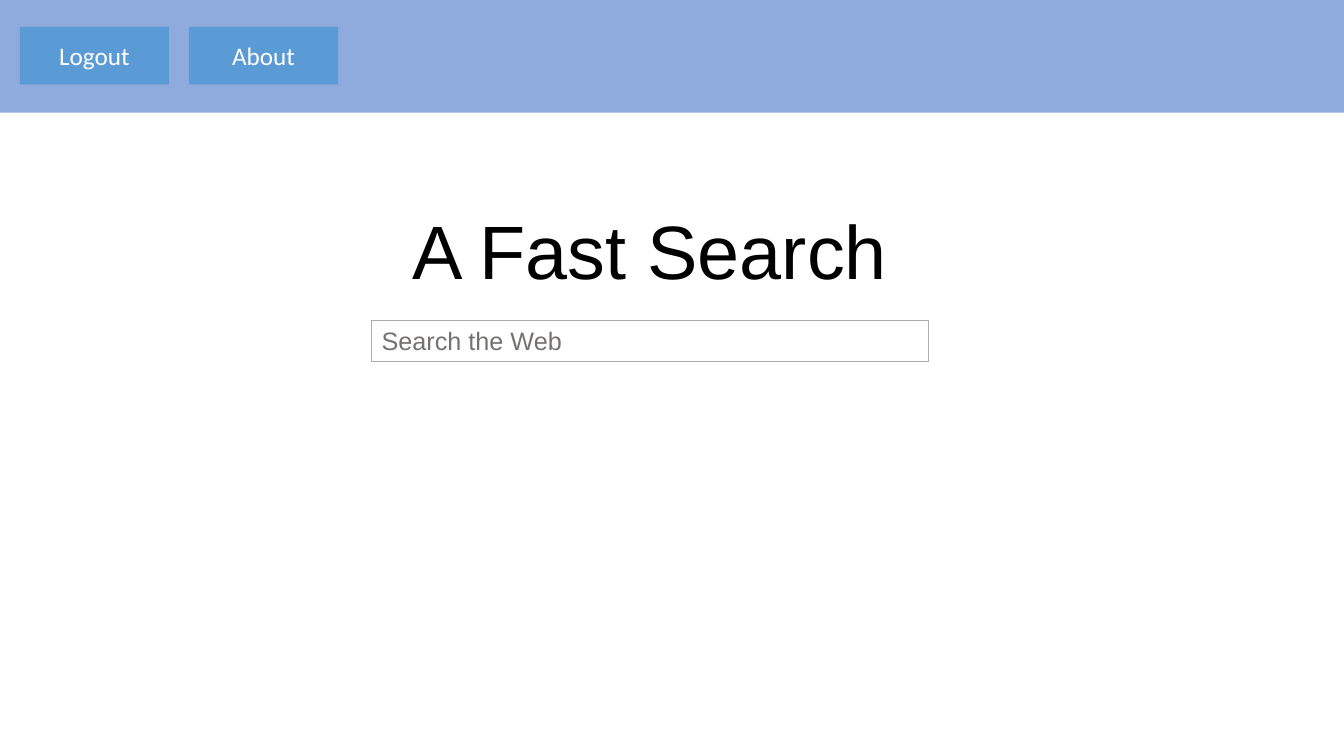
"""Build a search start page with a navigation bar."""
import pptx
import pptx.dml.color
import pptx.enum.shapes
import pptx.enum.text
import pptx.util

Cm = pptx.util.Cm
RGBColor = pptx.dml.color.RGBColor
ALIGN = pptx.enum.text.PP_ALIGN
ANCHOR = pptx.enum.text.MSO_ANCHOR

BAR_BLUE = RGBColor(0x8F, 0xAA, 0xDC)
BUTTON_BLUE = RGBColor(0x5B, 0x9B, 0xD5)
BORDER_GREY = RGBColor(0xAF, 0xAB, 0xAB)
HINT_GREY = RGBColor(0x76, 0x71, 0x71)
BLACK = RGBColor(0, 0, 0)
WHITE = RGBColor(0xFF, 0xFF, 0xFF)

PAGE_WIDTH, PAGE_HEIGHT = 33.87, 19.05
BAR_HEIGHT = 2.84
BUTTON_WIDTH, BUTTON_HEIGHT, BUTTON_TOP = 3.76, 1.45, 0.68
BUTTON_GAP = 0.5
SEARCH_LEFT, SEARCH_WIDTH = 9.37, 14.02


class Page:
    """Holds the text styles and the current slide."""

    styles = {
        "button": {"name": "Calibri", "size": pptx.util.Pt(18), "color": WHITE},
        "title": {"name": "Arial", "size": pptx.util.Pt(54), "color": BLACK},
        "hint": {"name": "Arial", "size": pptx.util.Pt(18), "color": HINT_GREY},
    }

    def __init__(self, slide):
        """Keep the slide to draw on."""
        self.slide = slide

    def label(self, shape, text, style, align=ALIGN.CENTER, anchor=ANCHOR.MIDDLE):
        """Put styled text into a shape."""
        frame = shape.text_frame
        frame.word_wrap = True
        frame.vertical_anchor = anchor
        paragraph = frame.paragraphs[0]
        paragraph.alignment = align
        run = paragraph.add_run()
        run.text = text
        for key, value in self.styles[style].items():
            if key == "color":
                run.font.color.rgb = value
            else:
                setattr(run.font, key, value)

    def panel(self, left, top, width, height, fill=None, border=None):
        """Add a rectangle with an optional fill and border."""
        panel = self.slide.shapes.add_shape(
            pptx.enum.shapes.MSO_SHAPE.RECTANGLE,
            Cm(left), Cm(top), Cm(width), Cm(height))
        panel.shadow.inherit = False
        for part, color in ((panel.fill, fill), (panel.line.fill, border)):
            if color is None:
                part.background()
            else:
                part.solid()
                part.fore_color.rgb = color
        if border is not None:
            panel.line.width = pptx.util.Pt(0.75)
        return panel

    def button(self, left, caption):
        """Add a navigation button."""
        button = self.panel(left, BUTTON_TOP, BUTTON_WIDTH, BUTTON_HEIGHT, BUTTON_BLUE)
        self.label(button, caption, "button")

    def title(self, left, top, width, height, text):
        """Add the centred page title."""
        title = self.slide.shapes.add_textbox(Cm(left), Cm(top), Cm(width), Cm(height))
        self.label(title, text, "title")

    def search_field(self, left, top, width, height, hint):
        """Add an outlined input field with its hint."""
        field = self.panel(left, top, width, height, border=BORDER_GREY)
        self.label(field, hint, "hint", ALIGN.LEFT, ANCHOR.TOP)


def main():
    """Build and save the page."""
    deck = pptx.Presentation()
    deck.slide_width, deck.slide_height = Cm(PAGE_WIDTH), Cm(PAGE_HEIGHT)
    page = Page(deck.slides.add_slide(deck.slide_layouts[6]))

    page.panel(0, 0, PAGE_WIDTH, BAR_HEIGHT, BAR_BLUE)
    page.search_field(SEARCH_LEFT, 8.08, SEARCH_WIDTH, 1.03, "Search the Web")
    page.title(SEARCH_LEFT, 4.85, SEARCH_WIDTH, 2.84, "A Fast Search")
    for index, caption in enumerate(("Logout", "About")):
        page.button(BUTTON_GAP + index * (BUTTON_WIDTH + BUTTON_GAP), caption)

    deck.save("out.pptx")


main()
